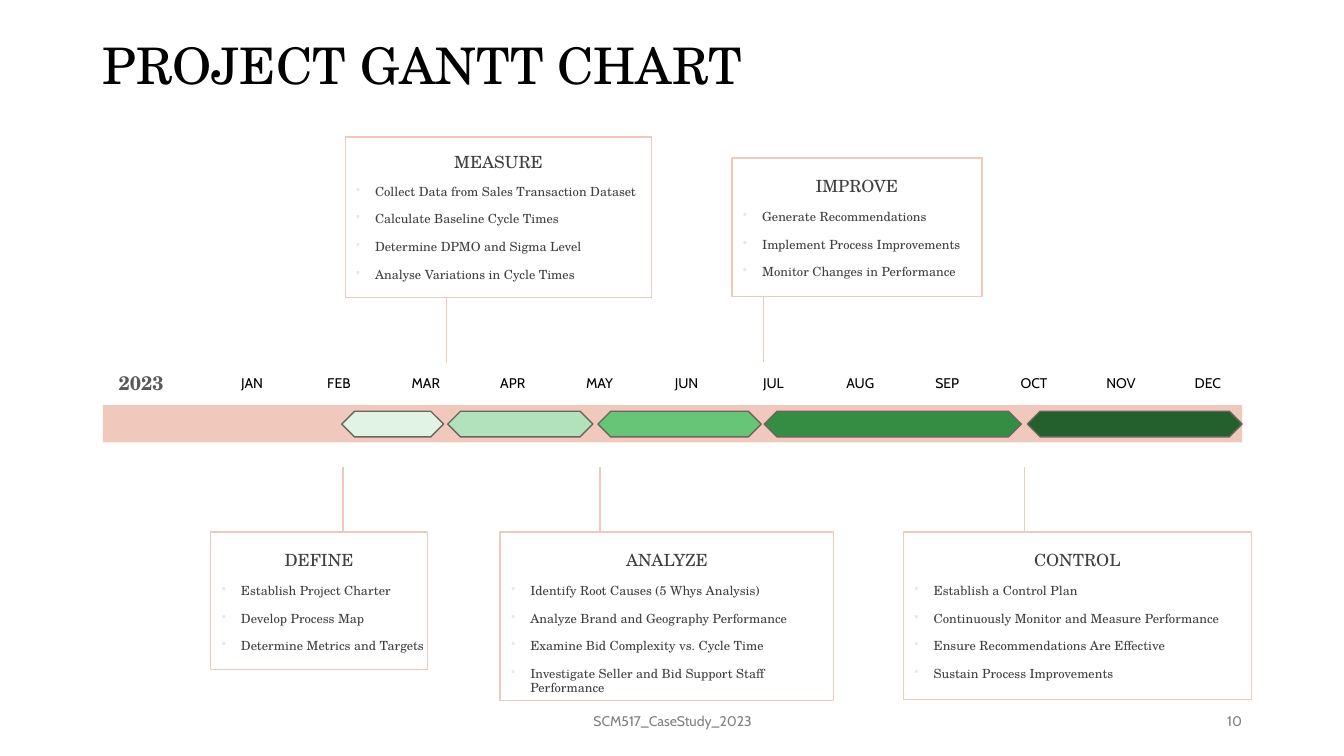
from dataclasses import dataclass

from lxml import etree
from pptx import Presentation
from pptx.dml.color import RGBColor
from pptx.enum.shapes import MSO_CONNECTOR, MSO_SHAPE
from pptx.enum.text import MSO_ANCHOR, PP_ALIGN
from pptx.oxml.ns import qn
from pptx.util import Inches, Pt

LEFT, CENTER, RIGHT = PP_ALIGN.LEFT, PP_ALIGN.CENTER, PP_ALIGN.RIGHT
TOP, MIDDLE = MSO_ANCHOR.TOP, MSO_ANCHOR.MIDDLE
RECTANGLE, PHASE_ARROW = MSO_SHAPE.RECTANGLE, MSO_SHAPE.LEFT_RIGHT_ARROW
STRAIGHT = MSO_CONNECTOR.STRAIGHT

SERIF, SANS = "TeX Gyre Schola", "Cabin"
COLORS = {
    "title": "000000", "month": "000000", "text": "404040", "year": "595959",
    "footer": "808080", "rose": "F0C8BC", "bullet": "F2E6D8", "outline": "6A655F",
}

presentation = Presentation()
presentation.slide_width, presentation.slide_height = Inches(13.33), Inches(7.5)
slide = presentation.slides.add_slide(presentation.slide_layouts[6])


@dataclass
class Box:
    """Place and size in percent of the slide's width and height."""
    left: float
    top: float
    width: float
    height: float


@dataclass
class Insets:
    """Text margins in percent of the slide's width and height."""
    left: float = 0.75
    top: float = 0.67
    right: float = 0.75
    bottom: float = 0.67


@dataclass
class Phase:
    heading: str
    tasks: list[str]
    card: Box
    stem: float
    bar_left: float
    bar_width: float
    color: str
    insets: Insets
    indent: float = 2.25
    heading_spacing: float = 0.9


def across(share: float) -> int:
    return round(presentation.slide_width * share / 100)


def down(share: float) -> int:
    return round(presentation.slide_height * share / 100)


def place(box: Box) -> tuple[int, int, int, int]:
    return across(box.left), down(box.top), across(box.width), down(box.height)


def rgb(color: str) -> RGBColor:
    return RGBColor.from_string(color)


def set_frame(frame, insets: Insets, anchor=TOP) -> None:
    frame.word_wrap = True
    frame.vertical_anchor = anchor
    frame.margin_left, frame.margin_right = across(insets.left), across(insets.right)
    frame.margin_top, frame.margin_bottom = down(insets.top), down(insets.bottom)


def write(paragraph, text: str, *, size: float, color: str, font=SERIF, bold=False,
          align=CENTER, spacing=0.9, before=0.0, bullet_indent=0.0) -> None:
    if bullet_indent:
        properties = paragraph._p.get_or_add_pPr()
        properties.set("marL", str(across(bullet_indent)))
        properties.set("indent", str(-across(1.43)))
        bullet_color = etree.SubElement(properties, qn("a:buClr"))
        etree.SubElement(bullet_color, qn("a:srgbClr"), val=COLORS["bullet"])
        etree.SubElement(properties, qn("a:buChar"), char="•")
    paragraph.alignment = align
    paragraph.line_spacing = spacing
    paragraph.space_before = Pt(before)
    run = paragraph.add_run()
    run.text = text
    run.font.size, run.font.name, run.font.bold = Pt(size), font, bold
    run.font.color.rgb = rgb(color)


def add_label(box: Box, text: str, anchor=MIDDLE, **text_format) -> None:
    frame = slide.shapes.add_textbox(*place(box)).text_frame
    set_frame(frame, Insets(), anchor)
    write(frame.paragraphs[0], text, **text_format)


def add_block(kind, box: Box, fill: str = "", line: str = ""):
    shape = slide.shapes.add_shape(kind, *place(box))
    shape.shadow.inherit = False
    if fill:
        shape.fill.solid()
        shape.fill.fore_color.rgb = rgb(fill)
    else:
        shape.fill.background()
    if line:
        shape.line.color.rgb = rgb(line)
        shape.line.width = Pt(1)
    else:
        shape.line.fill.background()
    return shape


def add_stem(left: float, start: float, end: float) -> None:
    stem = slide.shapes.add_connector(
        STRAIGHT, across(left), down(start), across(left), down(end))
    stem.line.color.rgb = rgb(COLORS["rose"])
    stem.line.width = Pt(1)
    etree.SubElement(stem._element.spPr, qn("a:effectLst"))


def add_phase(phase: Phase) -> None:
    card = phase.card
    frame = add_block(RECTANGLE, card, line=COLORS["rose"]).text_frame
    set_frame(frame, phase.insets)
    write(frame.paragraphs[0], phase.heading, size=12, color=COLORS["text"],
          spacing=phase.heading_spacing)
    for task in phase.tasks:
        write(frame.add_paragraph(), task, size=9, color=COLORS["text"], align=LEFT,
              before=10, bullet_indent=phase.indent)
    # Stems run from the card towards the timeline
    if card.top < BAND.top:
        bottom = card.top + card.height
        add_stem(phase.stem, bottom, bottom + STEM_LENGTH)
    else:
        add_stem(phase.stem, card.top, card.top - STEM_LENGTH)
    bar = add_block(PHASE_ARROW, Box(phase.bar_left, 54.4, phase.bar_width, 3.4),
                    phase.color, COLORS["outline"])
    bar.adjustments[0], bar.adjustments[1] = 1, 0.5


BAND = Box(7.65, 53.6, 84.77, 4.93)
STEM_LENGTH = 8.67
LOWER_TOP = 70.4
MONTH_LEFT, MONTH_STEP = 16.13, 6.465
MONTHS = "JAN FEB MAR APR MAY JUN JUL AUG SEP OCT NOV DEC".split()
CARD_INSETS = Insets(0, 2.67, 0, 0)
PHASES = [
    Phase("DEFINE", ["Establish Project Charter", "Develop Process Map",
                     "Determine Metrics and Targets"],
          Box(15.68, LOWER_TOP, 16.13, 18.13), 25.51, 25.43, 7.58, "E0F3E4", CARD_INSETS),
    Phase("MEASURE", ["Collect Data from Sales Transaction Dataset",
                      "Calculate Baseline Cycle Times",
                      "Determine DPMO and Sigma Level",
                      "Analyse Variations in Cycle Times"],
          Box(25.73, 18.13, 22.73, 21.2), 33.23, 33.31, 10.8, "B2E2BB",
          Insets(top=2.4), indent=1.43, heading_spacing=0.8),
    Phase("ANALYZE", ["Identify Root Causes (5 Whys Analysis)",
                      "Analyze Brand and Geography Performance",
                      "Examine Bid Complexity vs. Cycle Time",
                      "Investigate Seller and Bid Support Staff Performance"],
          Box(37.21, LOWER_TOP, 24.83, 22.27), 44.64, 44.49, 12.15, "66C576", CARD_INSETS),
    Phase("IMPROVE", ["Generate Recommendations", "Implement Process Improvements",
                      "Monitor Changes in Performance"],
          Box(54.46, 20.93, 18.6, 18.27), 56.79, 56.86, 19.13, "358D44", CARD_INSETS),
    Phase("CONTROL", ["Establish a Control Plan",
                      "Continuously Monitor and Measure Performance",
                      "Ensure Recommendations Are Effective",
                      "Sustain Process Improvements"],
          Box(67.22, LOWER_TOP, 25.88, 22.13), 76.22, 76.44, 15.98, "245F2E", CARD_INSETS),
]

# Title
add_label(Box(6.9, 4.4, 86.27, 9.33), "PROJECT GANTT CHART", size=36,
          color=COLORS["title"], align=LEFT)

# Timeline: year, months and band
add_label(Box(7.5, 47.47, 6, 6.67), "2023", size=14, color=COLORS["year"], bold=True)
for index, month in enumerate(MONTHS):
    add_label(Box(MONTH_LEFT + index * MONTH_STEP, 49.07, 5.25, 2.93), month, TOP,
              size=10, color=COLORS["month"], font=SANS)
add_block(RECTANGLE, BAND, fill=COLORS["rose"])

# Phases: card, stem and bar
for phase in PHASES:
    add_phase(phase)

# Footer and slide number
for box, text, align in [(Box(33.16, 92.67, 33.76, 5.33), "SCM517_CaseStudy_2023", CENTER),
                         (Box(70.67, 92.67, 22.5, 5.33), "10", RIGHT)]:
    add_label(box, text, size=10, color=COLORS["footer"], font=SANS, align=align, spacing=1.0)

presentation.save("out.pptx")
